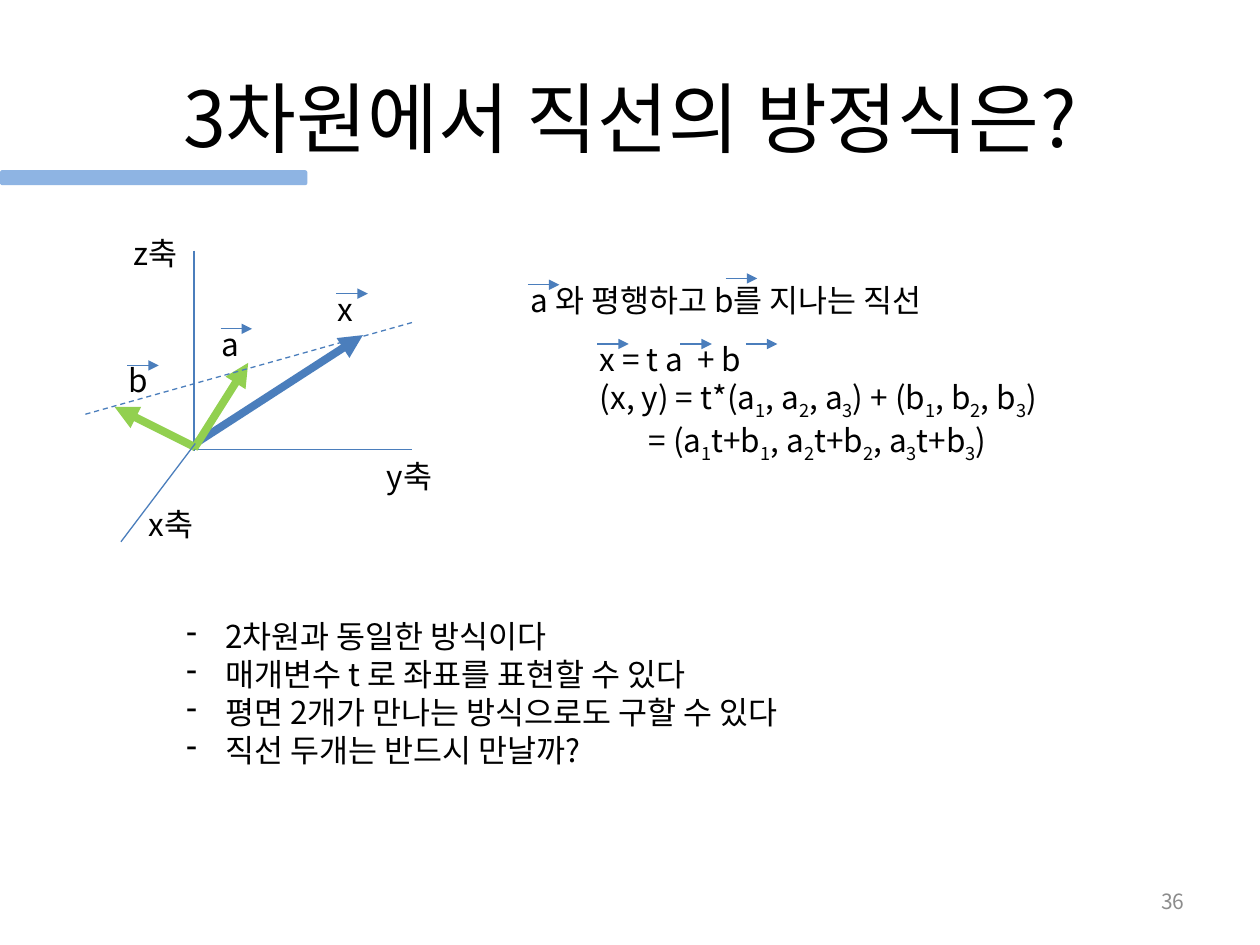
from dataclasses import dataclass

from lxml.etree import SubElement
from pptx import Presentation
from pptx.dml.color import RGBColor
from pptx.enum.dml import MSO_LINE
from pptx.enum.shapes import MSO_CONNECTOR, MSO_SHAPE
from pptx.enum.text import MSO_ANCHOR, PP_ALIGN
from pptx.oxml.ns import qn
from pptx.util import Inches, Pt


@dataclass(frozen=True)
class Theme:
    font: str = "Noto Sans CJK KR"
    text: str = "000000"
    muted: str = "8C8C8C"
    accent: str = "8EB4E3"
    blue: str = "4B7EBC"
    green: str = "92D050"
    title_size: float = 44
    body_size: float = 18
    number_size: float = 12
    thin: float = 0.75
    thick: float = 4.5


THEME = Theme()


@dataclass(frozen=True)
class Line:
    start: tuple[float, float]
    end: tuple[float, float]
    color: str = THEME.blue
    width: float = THEME.thin
    arrow: bool = False
    dashed: bool = False


@dataclass(frozen=True)
class Label:
    text: str
    left: float
    top: float
    width: float


def draw_line(slide, line: Line) -> None:
    points = [Inches(value) for value in (*line.start, *line.end)]
    connector = slide.shapes.add_connector(MSO_CONNECTOR.STRAIGHT, *points)
    connector.line.color.rgb = RGBColor.from_string(line.color)
    connector.line.width = Pt(line.width)
    if line.dashed:
        connector.line.dash_style = MSO_LINE.DASH
    properties = connector._element.spPr
    if line.arrow:
        SubElement(properties.find(qn("a:ln")), qn("a:tailEnd"), type="triangle")
    SubElement(properties, qn("a:effectLst"))


def draw_vector_mark(slide, left: float, top: float) -> None:
    """Draw the short arrow that stands over a vector's letter."""
    draw_line(slide, Line((left, top), (left + 0.25, top), arrow=True))


def add_text_frame(slide, left: float, top: float, width: float, height: float,
                   anchor: MSO_ANCHOR = MSO_ANCHOR.TOP):
    box = slide.shapes.add_textbox(Inches(left), Inches(top), Inches(width), Inches(height))
    box.text_frame.word_wrap = True
    box.text_frame.vertical_anchor = anchor
    return box.text_frame


def add_run(paragraph, text: str, size: float = THEME.body_size,
            color: str = THEME.text):
    """Add a run with the same font for Latin and Korean; return its properties."""
    run = paragraph.add_run()
    run.text = text
    run.font.size = Pt(size)
    run.font.color.rgb = RGBColor.from_string(color)
    run.font.name = THEME.font
    properties = run._r.get_or_add_rPr()
    SubElement(properties, qn("a:ea"), typeface=THEME.font)
    return properties


def add_indexed_runs(paragraph, formula: str) -> None:
    """Add a formula in which an underscore lowers the next character."""
    first, *parts = formula.split("_")
    add_run(paragraph, first)
    for part in parts:
        add_run(paragraph, part[0]).set("baseline", "-25000")
        add_run(paragraph, part[1:])


def draw_label(slide, label: Label) -> None:
    frame = add_text_frame(slide, label.left, label.top, label.width, 0.4)
    add_run(frame.paragraphs[0], label.text)


def draw_heading(slide) -> None:
    frame = add_text_frame(slide, 0.5, 0.3, 9, 1.25, MSO_ANCHOR.MIDDLE)
    frame.paragraphs[0].alignment = PP_ALIGN.CENTER
    add_run(frame.paragraphs[0], "3차원에서 직선의 방정식은?", THEME.title_size)

    frame = add_text_frame(slide, 7.17, 6.95, 2.33, 0.4, MSO_ANCHOR.MIDDLE)
    frame.paragraphs[0].alignment = PP_ALIGN.RIGHT
    add_run(frame.paragraphs[0], "36", THEME.number_size, THEME.muted)

    bar = slide.shapes.add_shape(MSO_SHAPE.ROUNDED_RECTANGLE, Inches(0), Inches(1.35),
                                 Inches(2.44), Inches(0.12))
    bar.shadow.inherit = False
    bar.fill.solid()
    bar.fill.fore_color.rgb = RGBColor.from_string(THEME.accent)
    bar.line.fill.background()


def draw_formulas(slide) -> None:
    draw_label(slide, Label("a 와 평행하고 b를 지나는 직선", 4.11, 2.18, 3.71))
    frame = add_text_frame(slide, 4.66, 2.65, 4.04, 1.01)
    line_equation = frame.paragraphs[0]
    add_run(line_equation, "x = t a")
    add_run(line_equation, " ").set("spc", "400")
    add_run(line_equation, "+ b")
    add_indexed_runs(frame.add_paragraph(), "(x, y) = t*(a_1, a_2, a_3) + (b_1, b_2, b_3)")
    result = frame.add_paragraph()
    result._p.get_or_add_pPr().set("marL", str(Inches(0.39)))
    add_indexed_runs(result, "= (a_1t+b_1, a_2t+b_2, a_3t+b_3)")

    for left, top in ((4.19, 2.26), (5.76, 2.21), (4.74, 2.73), (5.4, 2.73), (5.92, 2.73)):
        draw_vector_mark(slide, left, top)


def draw_notes(slide, notes: list[str]) -> None:
    frame = add_text_frame(slide, 1.38, 4.85, 5.48, 1.31)
    for index, note in enumerate(notes):
        paragraph = frame.add_paragraph() if index else frame.paragraphs[0]
        properties = paragraph._p.get_or_add_pPr()
        properties.set("marL", str(Inches(0.31)))
        properties.set("indent", str(Inches(-0.31)))
        SubElement(properties, qn("a:buChar"), char="-")
        add_run(paragraph, note)


def draw_diagram(slide) -> None:
    lines = [
        Line((1.54, 1.99), (1.54, 3.58)),
        Line((1.55, 3.57), (3.27, 3.57)),
        Line((1.55, 3.52), (2.88, 2.66), width=THEME.thick, arrow=True),
        Line((1.54, 3.56), (1.97, 2.88), THEME.green, THEME.thick, arrow=True),
        Line((1.55, 3.55), (0.91, 3.23), THEME.green, THEME.thick, arrow=True),
        Line((3.27, 2.56), (0.67, 3.29), dashed=True),
        Line((0.96, 4.3), (1.55, 3.52)),
    ]
    for line in lines:
        draw_line(slide, line)

    axis_labels = [
        Label("y축", 2.97, 3.58, 0.58),
        Label("z축", 0.96, 1.81, 0.57),
        Label("x축", 1.08, 3.96, 0.57),
    ]
    vector_labels = [
        Label("a", 1.66, 2.53, 0.42),
        Label("x", 2.58, 2.25, 0.42),
        Label("b", 0.92, 2.82, 0.42),
    ]
    for label in axis_labels + vector_labels:
        draw_label(slide, label)
    for label in vector_labels:
        draw_vector_mark(slide, label.left + 0.09, label.top + 0.08)


def main() -> None:
    presentation = Presentation()
    presentation.slide_width, presentation.slide_height = Inches(10), Inches(7.5)
    slide = presentation.slides.add_slide(presentation.slide_layouts[6])
    draw_heading(slide)
    draw_formulas(slide)
    draw_notes(slide, [
        "2차원과 동일한 방식이다",
        "매개변수 t 로 좌표를 표현할 수 있다",
        "평면 2개가 만나는 방식으로도 구할 수 있다",
        "직선 두개는 반드시 만날까?",
    ])
    draw_diagram(slide)
    presentation.save("out.pptx")


if __name__ == "__main__":
    main()
